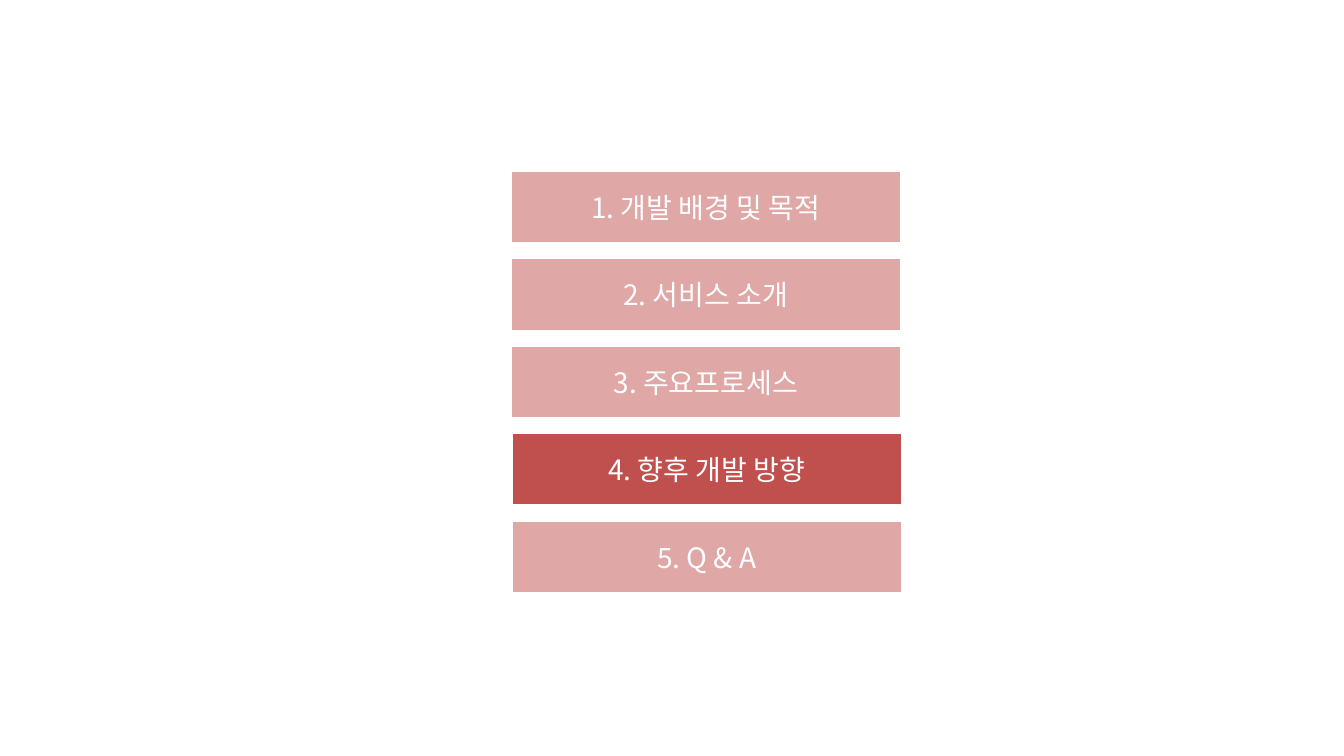
from lxml import etree
from pptx import Presentation
from pptx import util as u
from pptx.dml.color import RGBColor
from pptx.enum import shapes, text
from pptx.oxml.ns import qn

FONT = "Noto Sans CJK KR"
RED, WHITE = "C0504D", "FFFFFF"
TOPICS = ["1. 개발 배경 및 목적", "2. 서비스 소개", "3. 주요프로세스",
          "4. 향후 개발 방향", "5. Q & A"]
CURRENT = 3
AGENDA_BOX = (5.07, 1.7, 3.86, 4.18)
BAR_HEIGHT = 0.71
LOWER_SHIFT = 0.01  # the current topic and those after it sit slightly right


def color(hex_string):
    return RGBColor.from_string(hex_string)


def set_opacity(shape, percent):
    fill_color = shape.fill._xPr.find(qn("a:solidFill"))[0]
    etree.SubElement(fill_color, qn("a:alpha"), val=str(percent * 1000))


def add_bar(page, box, label, is_current):
    bar = page.shapes.add_shape(shapes.MSO_SHAPE.RECTANGLE, *map(u.Inches, box))
    bar.shadow.inherit = False
    bar.fill.solid()
    bar.fill.fore_color.rgb = color(RED)
    if not is_current:
        set_opacity(bar, 50)
    bar.line.color.rgb = color(WHITE)
    bar.line.width = u.Pt(1)

    frame = bar.text_frame
    frame.word_wrap = True
    frame.vertical_anchor = text.MSO_ANCHOR.MIDDLE
    para = frame.paragraphs[0]
    para.alignment = text.PP_ALIGN.CENTER
    span = para.add_run()
    span.text = label
    span.font.size = u.Pt(20)
    span.font.name = FONT
    span.font.color.rgb = color(WHITE)
    etree.SubElement(span.font._element, qn("a:ea"), typeface=FONT)


def add_agenda(page, box, topics, current):
    """Stack one bar per topic at equal steps, with the current one solid."""
    left, top, width, height = box
    step = (height - BAR_HEIGHT) / (len(topics) - 1)
    for row, topic in enumerate(topics):
        shift = LOWER_SHIFT if row >= current else 0
        bar_box = (left + shift, top + row * step, width, BAR_HEIGHT)
        add_bar(page, bar_box, topic, row == current)


def main():
    deck = Presentation()
    deck.slide_width, deck.slide_height = u.Inches(13.33), u.Inches(7.5)
    page = deck.slides.add_slide(deck.slide_layouts.get_by_name("Blank"))
    add_agenda(page, AGENDA_BOX, TOPICS, CURRENT)
    deck.save("out.pptx")


if __name__ == "__main__":
    main()
